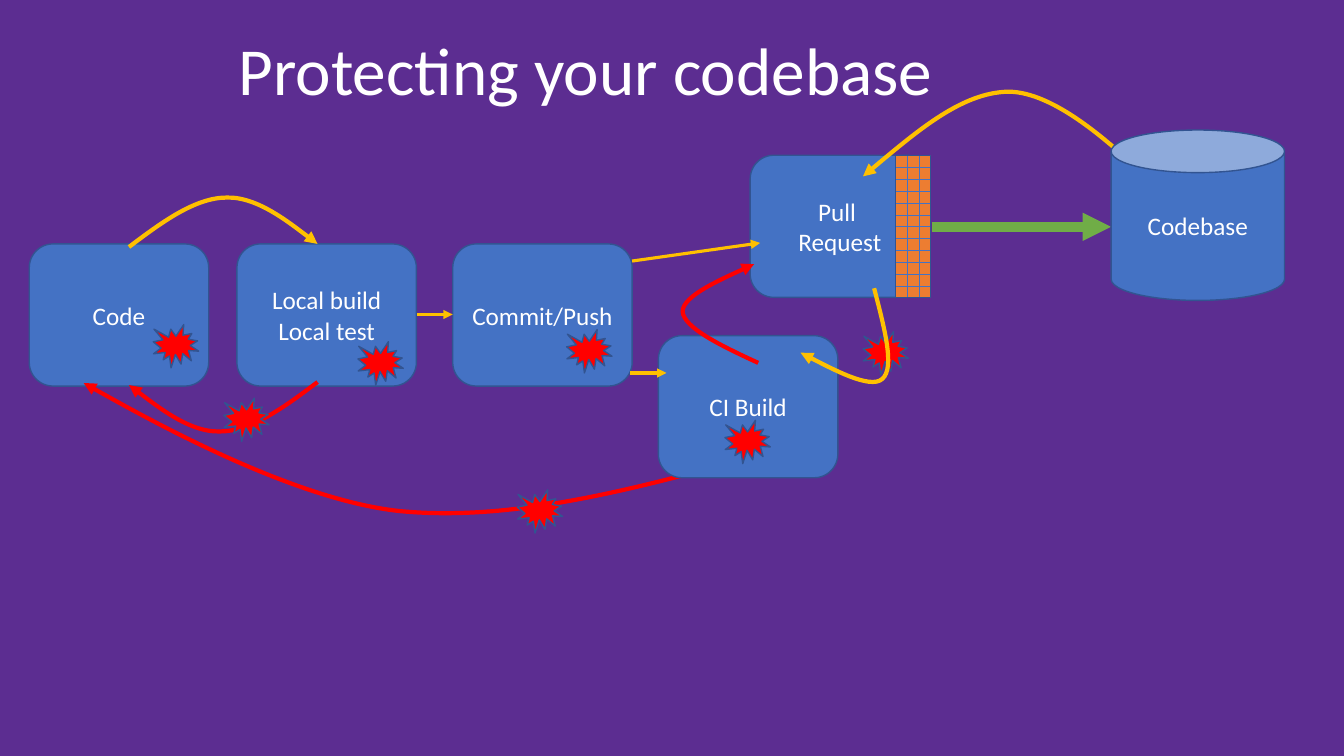
from lxml.etree import SubElement
from pptx import Presentation
from pptx.dml.color import RGBColor
from pptx.enum.dml import MSO_PATTERN as Pattern
from pptx.enum.shapes import MSO_CONNECTOR as Connector, MSO_SHAPE as Shape
from pptx.enum.text import MSO_ANCHOR as Anchor, PP_ALIGN as Align
from pptx.oxml.ns import qn
from pptx.util import Inches, Pt

# Content
TITLE = "Protecting your codebase"
COLORS = {"back": "5C2D91", "text": "FFFFFF", "box": "4472C4", "edge": "325491",
          "flow": "FFC000", "fail": "FF0000", "merge": "70AD47", "brick": "ED7D31"}
FONT = "Calibri"
WIDTH, HEIGHT = 13.33, 7.5
STAGE_W, STAGE_H = 1.78, 1.41
SEAL_W, SEAL_H = 0.45, 0.43

# Stages: left, top, lines of text
LOCAL_STAGES = [
    (0.29, 2.42, ["Code"]),
    (2.35, 2.42, ["Local build", "Local test"]),
    (4.49, 2.42, ["Commit/Push"]),
]
CI_STAGE = (6.53, 3.33, ["CI Build"])
PULL_STAGE = (7.44, 1.54, ["Pull ", "Request"])
WALL = (8.88, 1.54, 0.35, STAGE_H)
STORE = (11.02, 1.29, 1.72, 1.69)

# Failure marks: left, top
SEALS = [(1.52, 3.22), (3.55, 3.39), (2.22, 3.95), (5.62, 3.27),
         (7.19, 4.17), (5.13, 4.86), (8.56, 3.29)]

# Straight arrows: start, end, colour, width
LINKS = [
    ((4.14, 3.12), (4.49, 3.12), "flow", 2.25),
    ((6.25, 3.7), (6.61, 3.7), "flow", 2.25),
    ((6.27, 2.59), (7.54, 2.41), "flow", 2.25),
    ((9.24, 2.25), (11.02, 2.25), "merge", 6.75),
]

# Curved arrows: colour, then start and two Bezier pieces (control, control, knot)
LOCAL_CURVES = [
    ("flow", [(1.28, 2.45), (1.61, 2.2), (1.94, 1.96), (2.25, 1.96),
              (2.56, 1.95), (3.15, 2.42), (3.15, 2.42)]),
    ("fail", [(3.15, 3.79), (2.82, 4.04), (2.49, 4.28), (2.18, 4.28),
              (1.87, 4.29), (1.28, 3.82), (1.28, 3.82)]),
    ("fail", [(7.54, 4.51), (6.31, 4.85), (5.08, 5.18), (3.96, 5.07),
              (2.84, 4.95), (0.83, 3.8), (0.83, 3.8)]),
]
REVIEW_CURVES = [
    ("flow", [(8.67, 2.86), (8.77, 3.25), (8.88, 3.65), (8.75, 3.76),
              (8.63, 3.87), (7.94, 3.5), (7.94, 3.5)]),
    ("fail", [(7.52, 3.6), (7.15, 3.43), (6.78, 3.25), (6.77, 3.09),
              (6.77, 2.93), (7.48, 2.62), (7.48, 2.62)]),
]
STORE_CURVE = ("flow", [(8.56, 1.75), (9.05, 1.34), (9.54, 0.92), (10, 0.91),
                        (10.46, 0.91), (11.33, 1.71), (11.33, 1.71)])


def rgb(name):
    return RGBColor.from_string(COLORS[name])


def write(shape, lines, size=18, spacing=None):
    frame = shape.text_frame
    frame.word_wrap = True
    frame.vertical_anchor = Anchor.MIDDLE
    for number, line in enumerate(lines):
        para = frame.paragraphs[0] if number == 0 else frame.add_paragraph()
        para.alignment = Align.CENTER
        para.line_spacing = spacing
        span = para.add_run()
        span.text = line
        span.font.name, span.font.size = FONT, Pt(size)
        span.font.color.rgb = rgb("text")


def add_box(page, kind, place, fill="box", lines=()):
    box = page.shapes.add_shape(kind, *map(Inches, place))
    box.shadow.inherit = False
    box.fill.solid()
    box.fill.fore_color.rgb = rgb(fill)
    box.line.color.rgb, box.line.width = rgb("edge"), Pt(1)
    write(box, lines)
    return box


def add_stage(page, left, top, lines):
    add_box(page, Shape.ROUNDED_RECTANGLE, (left, top, STAGE_W, STAGE_H), lines=lines)


def style_arrow(arrow, color, width, ends=("tailEnd",)):
    arrow.line.color.rgb, arrow.line.width = rgb(color), Pt(width)
    outline = arrow.line._get_or_add_ln()
    for end in ends:
        SubElement(outline, qn(f"a:{end}"), type="triangle")


def add_link(page, start, end, color, width):
    link = page.shapes.add_connector(Connector.STRAIGHT, *map(Inches, start + end))
    style_arrow(link, color, width)
    SubElement(link._element.spPr, qn("a:effectLst"))


def add_curve(page, color, points, ends=("tailEnd",)):
    points = [(Inches(x), Inches(y)) for x, y in points]
    builder = page.shapes.build_freeform(*points[0])
    builder.add_line_segments(points[3::3], close=False)
    curve = builder.convert_to_shape()
    curve.shadow.inherit = False
    curve.fill.background()
    style_arrow(curve, color, 3, ends)
    # Turn each straight segment into a Bezier piece
    route = next(curve._element.iter(qn("a:path")))
    for segment in route.findall(qn("a:lnTo")):
        route.remove(segment)
    for first in range(1, len(points), 3):
        piece = SubElement(route, qn("a:cubicBezTo"))
        for x, y in points[first:first + 3]:
            SubElement(piece, qn("a:pt"), x=str(x - curve.left), y=str(y - curve.top))


def main():
    deck = Presentation()
    deck.slide_width, deck.slide_height = Inches(WIDTH), Inches(HEIGHT)
    page = deck.slides.add_slide(deck.slide_layouts[5])
    page.background.fill.solid()
    page.background.fill.fore_color.rgb = rgb("back")

    # Title
    title = page.shapes.title
    title.left, title.top, title.width, title.height = map(Inches, (0.29, 0.31, 11.04, 0.85))
    write(title, [TITLE], size=48, spacing=0.9)

    # Local work and CI build
    for stage in LOCAL_STAGES:
        add_stage(page, *stage)
    for curve in LOCAL_CURVES:
        add_curve(page, *curve)
    add_stage(page, *CI_STAGE)
    for left, top in SEALS:
        add_box(page, Shape.EXPLOSION1, (left, top, SEAL_W, SEAL_H), fill="fail")

    # Pull request behind its wall
    add_stage(page, *PULL_STAGE)
    for link in LINKS:
        add_link(page, *link)
    for curve in REVIEW_CURVES:
        add_curve(page, *curve)
    wall = add_box(page, Shape.RECTANGLE, WALL)
    wall.fill.patterned()
    wall.fill.pattern = Pattern.HORIZONTAL_BRICK
    wall.fill.fore_color.rgb, wall.fill.back_color.rgb = rgb("box"), rgb("brick")

    # Codebase
    add_curve(page, *STORE_CURVE, ends=("headEnd", "tailEnd"))
    add_box(page, Shape.CAN, STORE, lines=["Codebase"])

    deck.save("out.pptx")


if __name__ == "__main__":
    main()
